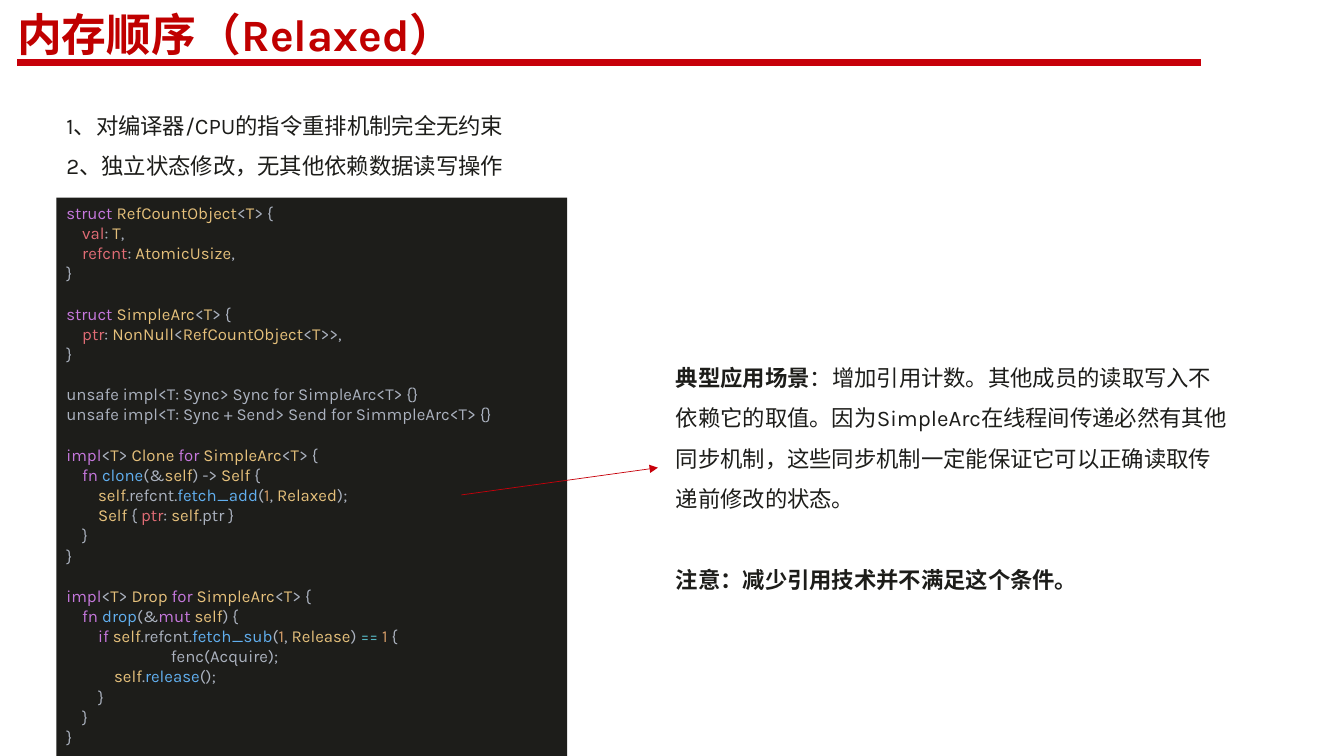
import itertools

import pptx
import pptx.dml.color
import pptx.enum.shapes
import pptx.enum.text
import pptx.oxml
import pptx.oxml.ns
import pptx.util
from pptx.util import Inches

INK, TITLE_RED, RULE_RED = "1D1D1A", "C00000", "C7000A"
GREY, PURPLE, YELLOW, RED = "ABB2BF", "C678DD", "E5C07B", "E06C75"
BLUE, ORANGE, CYAN = "61AFEF", "D19A66", "56B6C2"

# Syntax colours by word; capitalised words are types
WORD_COLORS = {
    **dict.fromkeys("struct impl for fn if mut".split(), PURPLE),
    **dict.fromkeys("val refcnt ptr".split(), RED),
    **dict.fromkeys("clone drop fetch_add fetch_sub release".split(), BLUE),
    "self": YELLOW, "1": ORANGE, "==": CYAN,
}

CODE = """\
struct RefCountObject<T> {
    val: T,
    refcnt: AtomicUsize,
}

struct SimpleArc<T> {
    ptr: NonNull<RefCountObject<T>>,
}

unsafe impl<T: Sync> Sync for SimpleArc<T> {}
unsafe impl<T: Sync + Send> Send for SimmpleArc<T> {}

impl<T> Clone for SimpleArc<T> {
    fn clone(&self) -> Self {
        self.refcnt.fetch_add(1, Relaxed);
        Self { ptr: self.ptr }
    }
}

impl<T> Drop for SimpleArc<T> {
    fn drop(&mut self) {
        if self.refcnt.fetch_sub(1, Release) == 1 {
\t fenc(Acquire);
            self.release();
        }
    }
}"""


def rgb(value):
    return pptx.dml.color.RGBColor.from_string(value)


def add_text(p, text, size=16, color=INK, bold=False, font="Karla"):
    r = p.add_run()
    r.text = text
    r.font.name, r.font.size, r.font.bold = font, pptx.util.Pt(size), bold
    r.font.color.rgb = rgb(color)


def add_xml(parent, tag, **attrs):
    child = pptx.oxml.parse_xml(f"<a:{tag} {pptx.oxml.ns.nsdecls('a')}/>")
    for name, value in attrs.items():
        child.set(name, value)
    parent.append(child)
    return child


def color_tokens(line):
    """Split a code line into (text, colour) pairs."""
    if line.startswith("unsafe") or "fenc" in line:
        return [(line, GREY)]

    def kind(c):
        return "word" if c.isalnum() or c == "_" else "equals" if c == "=" else "other"

    tokens, before = [], ""
    for _, chars in itertools.groupby(line, kind):
        word = "".join(chars)
        color = WORD_COLORS.get(word, YELLOW if word[0].isupper() else GREY)
        if before.endswith(".") and color == RED:  # field access
            color = GREY
        tokens.append((word, color))
        before = word
    return tokens


class Deck:
    def __init__(self, width, height):
        self.prs = pptx.Presentation()
        self.prs.slide_width, self.prs.slide_height = Inches(width), Inches(height)
        self.s = self.prs.slides.add_slide(self.prs.slide_layouts[5])

    def title(self, text, box):
        sp = self.s.shapes.title
        sp.left, sp.top, sp.width, sp.height = map(Inches, box)
        tf = sp.text_frame
        tf.margin_left = tf.margin_right = tf.margin_top = tf.margin_bottom = 0
        tf.vertical_anchor = pptx.enum.text.MSO_ANCHOR.TOP
        tf.auto_size = pptx.enum.text.MSO_AUTO_SIZE.NONE
        p = tf.paragraphs[0]
        p.alignment = pptx.enum.text.PP_ALIGN.LEFT
        p.line_spacing = pptx.util.Pt(34.3)
        add_text(p, text, 32, TITLE_RED, True)

    def text(self, paragraphs, box, gap=0):
        """Each paragraph is a list of (text, bold) pairs."""
        tf = self.s.shapes.add_textbox(*map(Inches, box)).text_frame
        tf.word_wrap = True
        for i, parts in enumerate(paragraphs):
            p = tf.add_paragraph() if i else tf.paragraphs[0]
            p.line_spacing = 1.5
            if i:
                p.space_before = pptx.util.Pt(gap)
            for text, bold in parts:
                add_text(p, text, bold=bold)

    def code(self, code, box):
        sp = self.s.shapes.add_shape(
            pptx.enum.shapes.MSO_SHAPE.RECTANGLE, *map(Inches, box))
        sp.shadow.inherit = False
        sp.fill.solid()
        sp.fill.fore_color.rgb = rgb(INK)
        sp.line.fill.background()
        tf = sp.text_frame
        tf.word_wrap = True
        tf.vertical_anchor = pptx.enum.text.MSO_ANCHOR.TOP
        p, gap = tf.paragraphs[0], 0
        for i, line in enumerate(code.split("\n")):
            if not line:
                gap = 14.4
                continue
            if i:
                p = tf.add_paragraph()
            p.alignment = pptx.enum.text.PP_ALIGN.LEFT
            if gap:
                p.space_before = pptx.util.Pt(gap)
                gap = 0
            if line.startswith("\t"):
                tabs = add_xml(p._p.get_or_add_pPr(), "tabLst")
                add_xml(tabs, "tab", pos=str(Inches(1)), algn="l")
            for text, color in color_tokens(line):
                add_text(p, text, 12, color)

    def line(self, start, end, width, arrow=False):
        sp = self.s.shapes.add_connector(
            pptx.enum.shapes.MSO_CONNECTOR.STRAIGHT, *map(Inches, start + end))
        sp.line.color.rgb = rgb(RULE_RED)
        sp.line.width = pptx.util.Pt(width)
        if arrow:
            add_xml(sp.line._get_or_add_ln(), "tailEnd", type="triangle")
        add_xml(sp._element.spPr, "effectLst")


def main():
    deck = Deck(13.34, 7.5)

    # Heading and rule
    deck.title("内存顺序（Relaxed）", (0.17, 0.12, 11.75, 0.62))
    deck.line((0.17, 0.62), (11.92, 0.62), 4.5)

    # Properties of the ordering
    deck.text([
        [("1、对编译器/CPU的指令重排机制完全无约束", False)],
        [("2、独立状态修改，无其他依赖数据读写操作", False)],
    ], (0.56, 0.93, 8.69, 0.86))

    # Code sample
    deck.code(CODE, (0.56, 1.96, 5.07, 5.55))

    # Use case, pointed to from the code
    deck.text([
        [("典型应用场景", True),
         ("：增加引用计数。其他成员的读取写入不依赖它的取值。因为SimpleArc在线程间传递"
          "必然有其他同步机制，这些同步机制一定能保证它可以正确读取传递前修改的状态。", False)],
        [("注意：减少引用技术并不满足这个条件。", True)],
    ], (6.61, 3.43, 5.73, 2.52), gap=29)
    deck.line((4.58, 4.91), (6.53, 4.64), 0.5, arrow=True)

    deck.prs.save("out.pptx")


if __name__ == "__main__":
    main()
